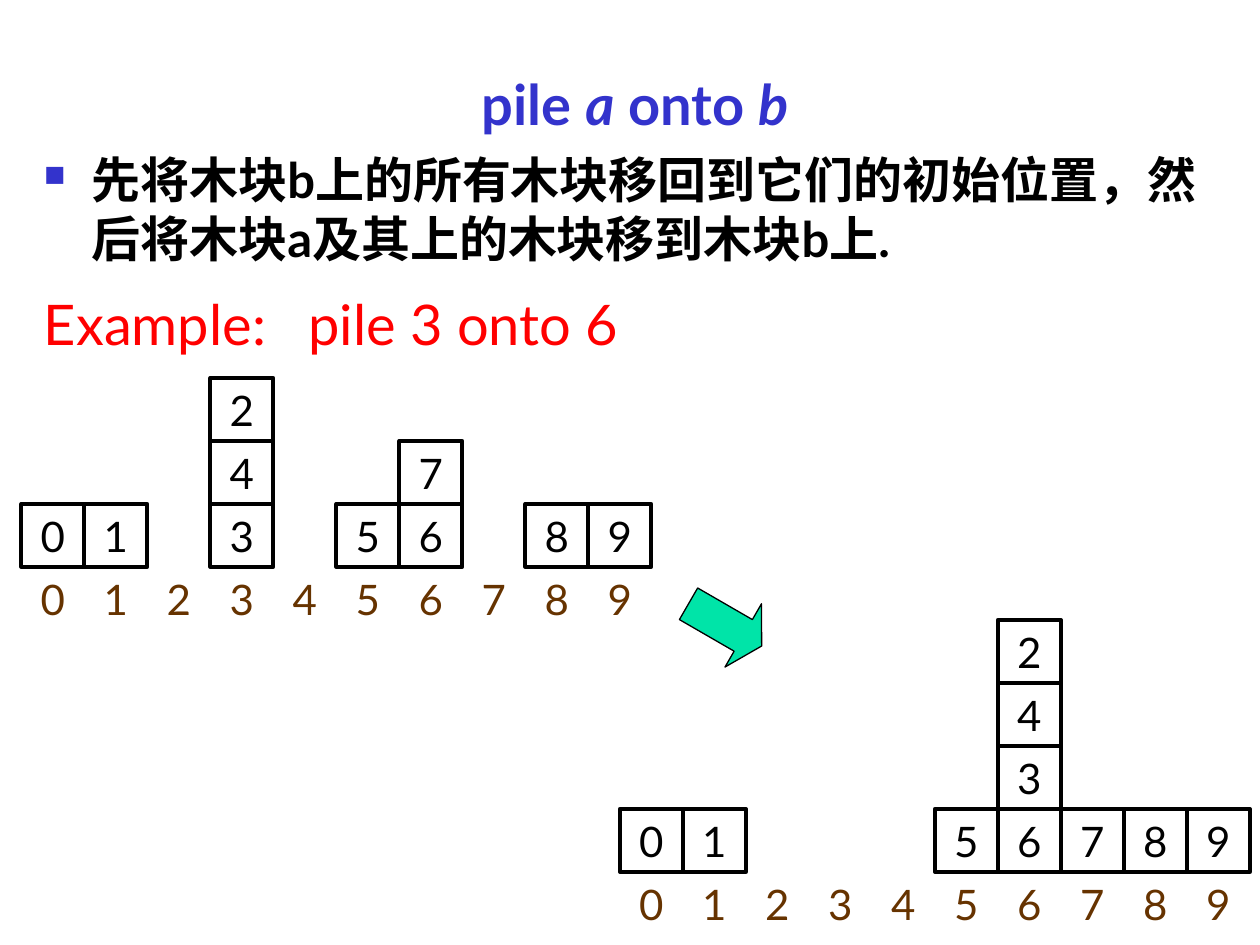
from dataclasses import dataclass

from pptx import Presentation
from pptx import util as u
from pptx.dml.color import RGBColor
from pptx.enum import shapes, text
from pptx.oxml import parse_xml
from pptx.oxml.ns import nsdecls

# Content: each title part is (words, italic)
TITLE = [("pile ", False), ("a", True), (" onto ", False), ("b", True)]
RULE = "先将木块b上的所有木块移回到它们的初始位置，然后将木块a及其上的木块移到木块b上."
EXAMPLE = "Example:\tpile 3 onto 6"

# Block piles: column -> blocks from the bottom up
BEFORE = {0: "0", 1: "1", 3: "342", 5: "5", 6: "67", 8: "8", 9: "9"}
AFTER = {0: "0", 1: "1", 5: "5", 6: "6342", 7: "7", 8: "8", 9: "9"}
WORLDS = [(BEFORE, 0.17, 4.0), (AFTER, 4.92, 6.42)]  # piles, left, ground row
COLS = 10
CELL = 0.5

# Page frame
LEFT, WIDE = 0.25, 9.58
HANG = 0.38


@dataclass(frozen=True)
class Theme:
    font: str = "Lato"
    blue: str = "3333CC"
    black: str = "000000"
    red: str = "FF0000"
    brown: str = "663300"
    green: str = "00E4A8"
    head: int = 32
    body: int = 28
    cell: int = 24


T = Theme()


def rgb(code):
    return RGBColor.from_string(code)


def style(para, size, color, bold=False):
    font = para.font
    font.name, font.size, font.bold = T.font, u.Pt(size), bold
    font.color.rgb = rgb(color)
    # East Asian text keeps the same line height
    base = para._p.pPr.find("{*}defRPr")
    base.append(parse_xml(f'<a:ea {nsdecls("a")} typeface="{T.font}"/>'))


def add_mark(para, *tags):
    props = para._p.get_or_add_pPr()
    for tag in tags:
        name, rest = tag.split(" ", 1)
        props.append(parse_xml(f'<a:{name} {nsdecls("a")} {rest}'))


def add_box(slide, left, top, wide, high):
    box = slide.shapes.add_textbox(*map(u.Inches, (left, top, wide, high)))
    box.text_frame.word_wrap = True
    return box


def add_cell(slide, label, left, top, framed):
    if framed:
        box = slide.shapes.add_shape(
            shapes.MSO_SHAPE.RECTANGLE, *map(u.Inches, (left, top, CELL, CELL)))
        box.shadow.inherit = False
        box.fill.background()
        box.line.color.rgb = rgb(T.black)
        box.line.width = u.Pt(2.25)
    else:
        box = add_box(slide, left, top, CELL, CELL)
    frame = box.text_frame
    frame.word_wrap = False
    frame.vertical_anchor = text.MSO_ANCHOR.MIDDLE
    para = frame.paragraphs[0]
    para.text = label
    para.alignment = text.PP_ALIGN.CENTER
    style(para, T.cell, T.black if framed else T.brown)


def add_world(slide, piles, left, ground):
    for col, pile in piles.items():
        for level, block in enumerate(pile):
            add_cell(slide, block, left + col * CELL, ground - level * CELL, True)
    for col in range(COLS):
        add_cell(slide, str(col), left + col * CELL, ground + CELL, False)


def main():
    deck = Presentation()
    deck.slide_width, deck.slide_height = u.Inches(10), u.Inches(7.5)
    slide = deck.slides.add_slide(deck.slide_layouts[5])

    # Title
    title = slide.shapes.title
    title.left, title.top = u.Inches(LEFT), u.Inches(0.5)
    title.width, title.height = u.Inches(WIDE), u.Inches(0.64)
    frame = title.text_frame
    frame.vertical_anchor = text.MSO_ANCHOR.TOP
    frame.auto_size = text.MSO_AUTO_SIZE.NONE
    para = frame.paragraphs[0]
    para.alignment = text.PP_ALIGN.CENTER
    for words, slant in TITLE:
        run = para.add_run()
        run.text, run.font.italic = words, slant
    style(para, T.head, T.blue, True)

    # Rule with a square bullet
    para = add_box(slide, LEFT, 1.14, WIDE, 1.19).text_frame.paragraphs[0]
    para.text = RULE
    add_mark(para, f'buClr ><a:srgbClr val="{T.blue}"/></a:buClr>',
             'buSzPct val="60000"/>', 'buChar char="■"/>')
    para._p.pPr.set("marL", str(u.Inches(HANG)))
    para._p.pPr.set("indent", str(-u.Inches(HANG)))
    style(para, T.body, T.black, True)

    # Example line
    para = add_box(slide, LEFT, 2.25, 8, 0.75).text_frame.paragraphs[0]
    para.text = EXAMPLE
    add_mark(para, f'tabLst ><a:tab pos="{u.Inches(2.1)}" algn="l"/></a:tabLst>')
    style(para, T.head, T.red)

    # Blocks before and after the move
    for world in WORLDS:
        add_world(slide, *world)

    # Arrow between the two states
    arrow = slide.shapes.add_shape(
        shapes.MSO_SHAPE.RIGHT_ARROW, *map(u.Inches, (5.42, 4.67, 0.67, 0.58)))
    arrow.rotation = 30
    arrow.adjustments[0], arrow.adjustments[1] = 0.5, 0.29
    arrow.shadow.inherit = False
    arrow.fill.solid()
    arrow.fill.fore_color.rgb = rgb(T.green)
    arrow.line.color.rgb = rgb(T.black)
    arrow.line.width = u.Pt(0.75)

    deck.save("out.pptx")


if __name__ == "__main__":
    main()
